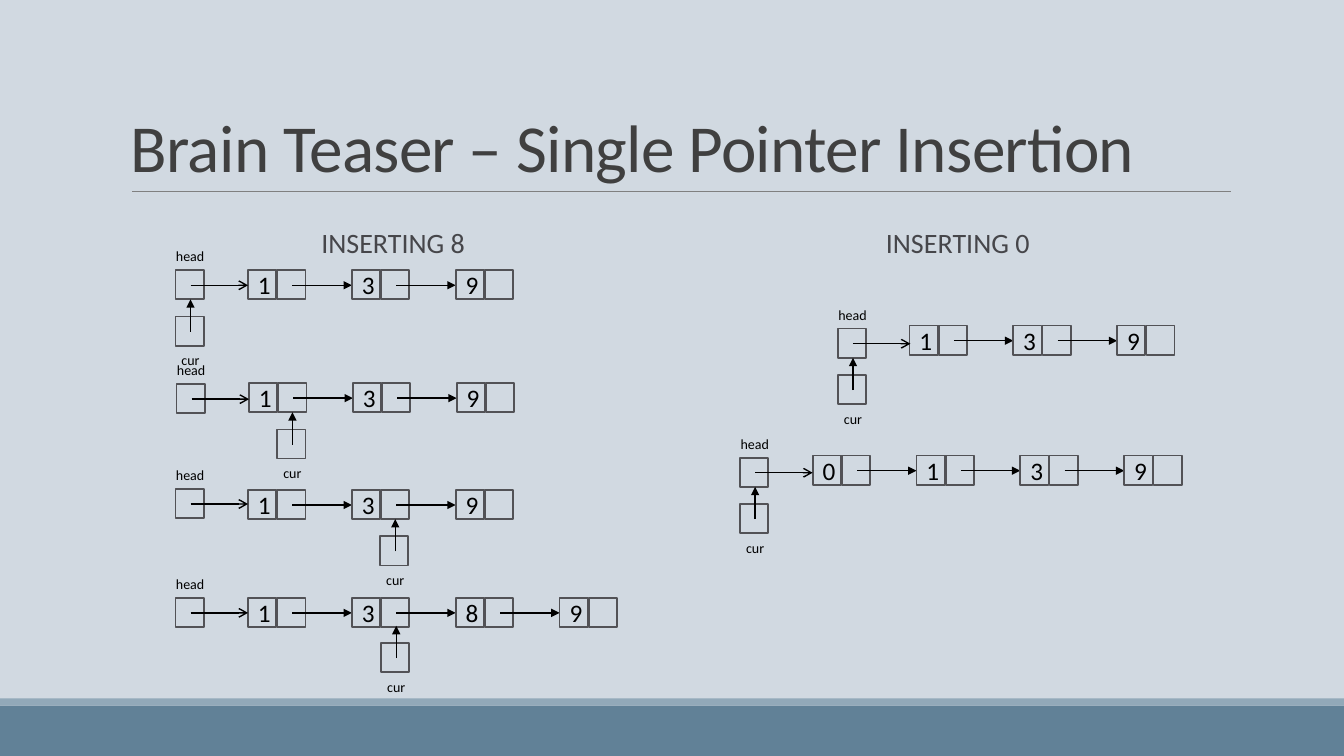
from dataclasses import dataclass
from lxml.etree import SubElement
from pptx import Presentation
from pptx.dml.color import RGBColor
from pptx.enum.shapes import MSO_CONNECTOR, MSO_SHAPE
from pptx.enum.text import MSO_ANCHOR, PP_ALIGN
from pptx.oxml.ns import qn
from pptx.util import Inches, Pt


@dataclass(frozen=True)
class Theme:
    font: str = "Calibri"
    back: str = "D1D9E1"
    band: str = "618197"
    strip: str = "92A9B9"
    rule: str = "808080"
    title: str = "404040"
    body: str = "46464A"
    edge: str = "525256"
    ink: str = "000000"
    title_pt: int = 48
    body_pt: int = 20
    cell_pt: int = 18
    label_pt: int = 10


theme = Theme()
color = RGBColor.from_string
CELL_W, CELL_H = 0.28, 0.29
HALF, MID = 0.29, 0.15  # offset of a node's link cell, start of an arrow
STEP = 1.03  # distance between nodes

deck = Presentation()
deck.slide_width, deck.slide_height = Inches(13.33), Inches(7.5)
slide = deck.slides.add_slide(deck.slide_layouts[6])
slide.background.fill.solid()
slide.background.fill.fore_color.rgb = color(theme.back)
shapes = slide.shapes


def put(text, x, y, w, h, size=theme.label_pt, ink=theme.ink, edge=False):
    """Add a text box, or an outlined cell, and return its paragraph and run."""
    place = Inches(x), Inches(y), Inches(w), Inches(h)
    if edge:
        box = shapes.add_shape(MSO_SHAPE.RECTANGLE, *place)
        box.shadow.inherit = False
        box.fill.background()
        box.line.color.rgb = color(theme.edge)
        box.line.width = Pt(1.25)
    else:
        box = shapes.add_textbox(*place)
    frame = box.text_frame
    frame.word_wrap = size != theme.label_pt
    frame.vertical_anchor = MSO_ANCHOR.MIDDLE if frame.word_wrap else MSO_ANCHOR.TOP
    if not text:
        return None
    para = frame.paragraphs[0]
    para.alignment = PP_ALIGN.CENTER
    run = para.add_run()
    run.text = text
    run.font.name, run.font.size = theme.font, Pt(size)
    run.font.color.rgb = color(ink)
    return para, run


def draw(x1, y1, x2, y2, tip=None, ink=theme.ink, width=1):
    """Add a straight line, with an arrowhead at its end if tip is given."""
    line = shapes.add_connector(
        MSO_CONNECTOR.STRAIGHT, Inches(x1), Inches(y1), Inches(x2), Inches(y2))
    line.line.color.rgb = color(ink)
    line.line.width = Pt(width)
    if tip:
        SubElement(line.line._get_or_add_ln(), qn("a:tailEnd"), type=tip)
    SubElement(line._element.spPr, qn("a:effectLst"))


# Footer bands and title rule
for top, height, fill in ((7, 0.5, theme.band), (6.93, 0.07, theme.strip)):
    bar = shapes.add_shape(
        MSO_SHAPE.RECTANGLE, 0, Inches(top), deck.slide_width, Inches(height))
    bar.shadow.inherit = False
    bar.fill.solid()
    bar.fill.fore_color.rgb = color(fill)
    bar.line.fill.background()
draw(1.31, 1.9, 12.21, 1.9, ink=theme.rule, width=0.5)

# Title
para, run = put("Brain Teaser – Single Pointer Insertion",
                1.2, 0.31, 11, 1.59, theme.title_pt, theme.title)
para.alignment = PP_ALIGN.LEFT
para.line_spacing = 0.85
run.font._element.set("spc", "-50")
shapes[-1].text_frame.vertical_anchor = MSO_ANCHOR.BOTTOM

# Column headings
for text, x in (("INSERTING 8", 1.2), ("INSERTING 0", 6.8)):
    para, run = put(text, x, 2.02, 5.4, 0.81, theme.body_pt, theme.body)
    para.line_spacing = 0.9
    para.space_before, para.space_after = Pt(12), Pt(2)

# Each state: node values, then the corners of the list, head and cur
states = (
    ("139", (2.46, 2.68), (1.74, 2.68), (1.74, 3.14)),
    ("139", (2.47, 3.8), (1.75, 3.81), (2.75, 4.26)),
    ("139", (2.46, 4.86), (1.74, 4.85), (3.77, 5.32)),
    ("1389", (2.46, 5.93), (1.74, 5.93), (3.78, 6.38)),
    ("139", (9.02, 3.23), (8.31, 3.26), (8.31, 3.72)),
    ("0139", (8.06, 4.52), (7.34, 4.54), (7.34, 5)),
)
for values, (left, top), (hx, hy), (cx, cy) in states:
    # Linked nodes
    for i, value in enumerate(values):
        x = left + i * STEP
        put(value, x, top, CELL_W, CELL_H, theme.cell_pt, edge=True)
        put("", x + HALF, top, CELL_W, CELL_H, edge=True)
        if i < len(values) - 1:
            draw(x + HALF + MID, top + MID, x + STEP, top + MID, "triangle")

    # Head pointer
    put("", hx, hy, CELL_W, CELL_H, edge=True)
    put("head", hx - 0.1, hy - 0.27, 0.49, 0.27)
    draw(hx + MID, hy + MID, hx + 0.72, hy + MID, "arrow")

    # Current pointer
    put("", cx, cy, CELL_W, CELL_H, edge=True)
    put("cur", cx - 0.05, cy + 0.3, 0.4, 0.27)
    draw(cx + MID, cy + MID, cx + MID, cy - 0.17, "triangle")

deck.save("out.pptx")
